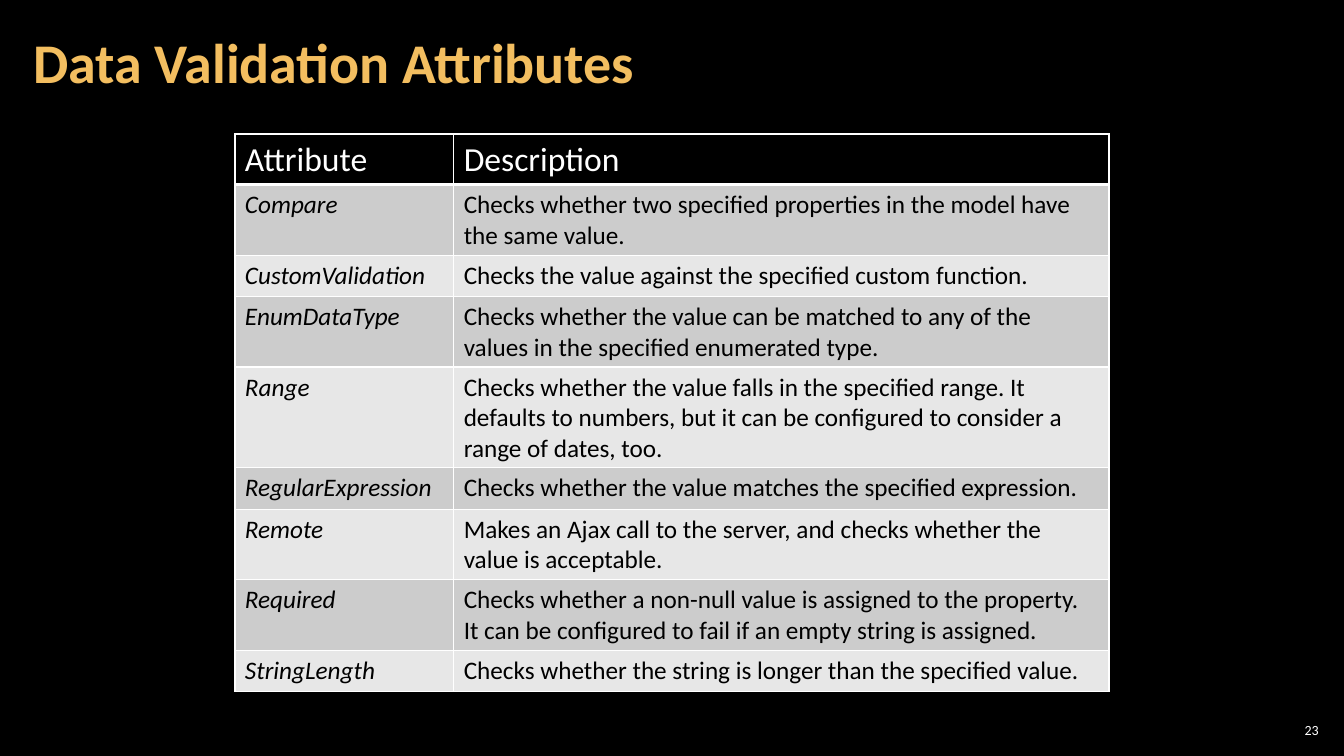
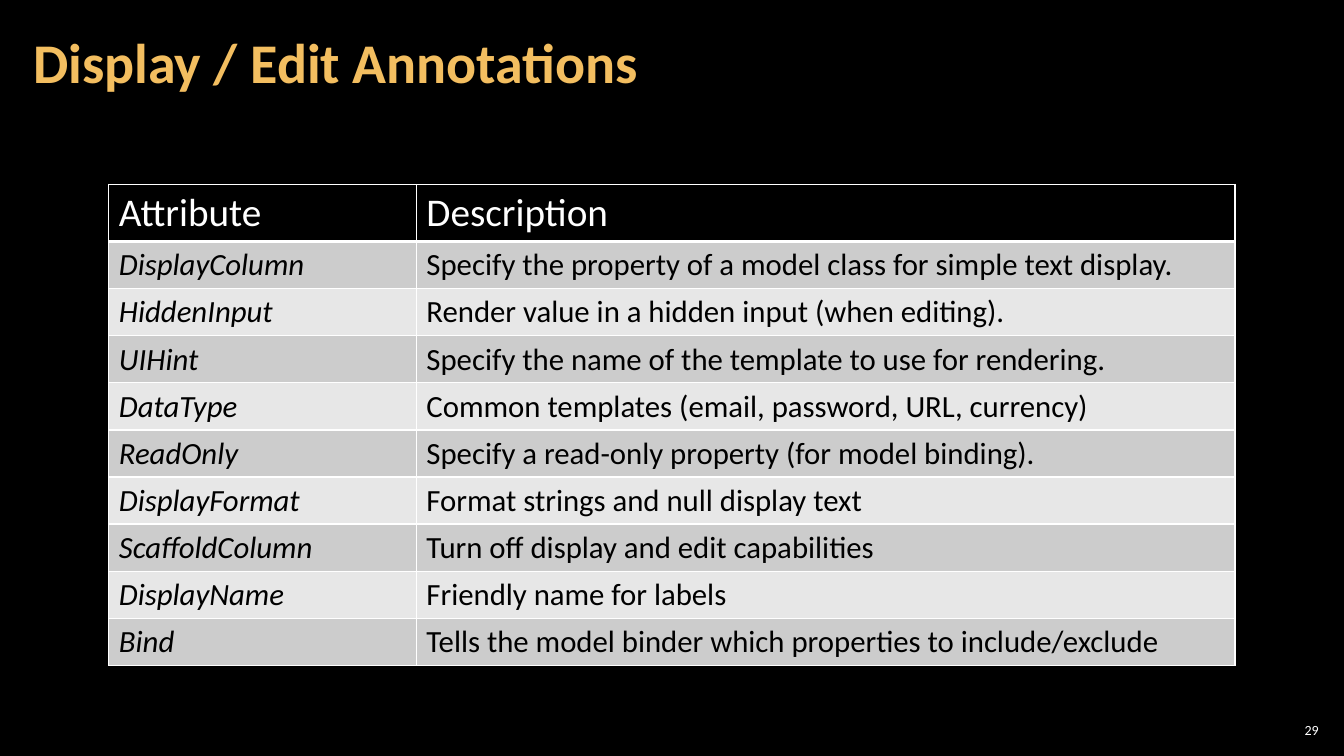
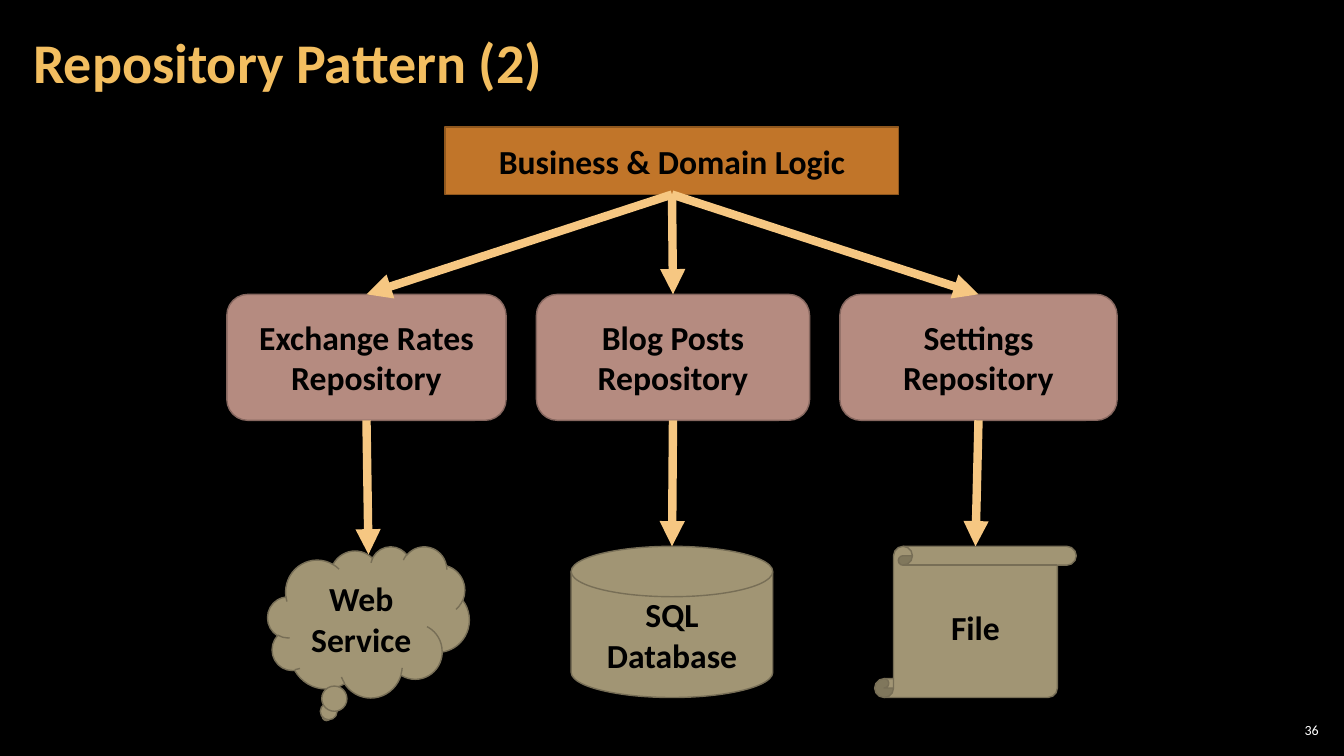
from itertools import accumulate
from lxml.etree import SubElement
from pptx import Presentation
from pptx.dml.color import RGBColor
from pptx.enum.shapes import MSO_CONNECTOR, MSO_SHAPE
from pptx.enum.text import MSO_ANCHOR, PP_ALIGN
from pptx.oxml.ns import qn
from pptx.util import Emu, Inches, Pt

SLIDE_WIDTH, SLIDE_HEIGHT = 13.33, 7.5
FONT = "Calibri"
BLACK, WHITE = "000000", "FFFFFF"
TITLE_COLOR, ARROW_COLOR = "F3BE60", "F6C782"
BAND_COLORS = ("CCCCCC", "E7E7E7")
LOGIC_COLORS = ("C17529", "8F571E")
REPOSITORY_COLORS = ("B58B80", "86675F")
STORE_COLORS = ("A19574", "776E56")
TITLE_BOX = (0.21, 0.04, 10.47, 1.21)
NUMBER_BOX = (12.65, 7.14, 0.47, 0.21)
ROW_HEIGHT = 0.41

HEADINGS = ("Attribute", "Description")
TABLE_SLIDES = [
    {
        "title": "Data Validation Attributes", "number": "23",
        "top": 1.33, "columns": (2.17, 6.5), "heading_size": 24, "size": 18,
        "rows": [
            ("Compare", "Checks whether two specified properties in the model have the same value."),
            ("CustomValidation", "Checks the value against the specified custom function."),
            ("EnumDataType", "Checks whether the value can be matched to any of the values in the specified enumerated type."),
            ("Range", "Checks whether the value falls in the specified range. It defaults to numbers, but it can be configured to consider a range of dates, too."),
            ("RegularExpression", "Checks whether the value matches the specified expression."),
            ("Remote", "Makes an Ajax call to the server, and checks whether the value is acceptable."),
            ("Required", "Checks whether a non-null value is assigned to the property. It can be configured to fail if an empty string is assigned."),
            ("StringLength", "Checks whether the string is longer than the specified value."),
        ],
    },
    {
        "title": "Display / Edit Annotations", "number": "29",
        "top": 1.83, "columns": (3.05, 8.12), "heading_size": 28, "size": 22,
        "rows": [
            ("DisplayColumn", "Specify the property of a model class for simple text display."),
            ("HiddenInput", "Render value in a hidden input (when editing)."),
            ("UIHint", "Specify the name of the template to use for rendering."),
            ("DataType", "Common templates (email, password, URL, currency)"),
            ("ReadOnly", "Specify a read-only property (for model binding)."),
            ("DisplayFormat", "Format strings and null display text"),
            ("ScaffoldColumn", "Turn off display and edit capabilities"),
            ("DisplayName", "Friendly name for labels"),
            ("Bind", "Tells the model binder which properties to include/exclude"),
        ],
    },
]

PATTERN_TITLE, PATTERN_NUMBER = "Repository Pattern (2)", "36"
LAYERS = [
    {"top": 1.26, "height": 0.67, "gap": 0, "colors": LOGIC_COLORS, "parts": [
        ("Business & Domain Logic", MSO_SHAPE.RECTANGLE, 4.5)]},
    {"top": 2.92, "height": 1.25, "gap": 0.3, "colors": REPOSITORY_COLORS, "parts": [
        ("Exchange Rates Repository", MSO_SHAPE.ROUNDED_RECTANGLE, 2.77),
        ("Blog Posts Repository", MSO_SHAPE.ROUNDED_RECTANGLE, 2.71),
        ("Settings Repository", MSO_SHAPE.ROUNDED_RECTANGLE, 2.75)]},
    {"top": 5.42, "height": 1.5, "gap": 1.01, "colors": STORE_COLORS, "parts": [
        ("Web Service", MSO_SHAPE.CLOUD_CALLOUT, 2),
        ("SQL Database", MSO_SHAPE.FLOWCHART_MAGNETIC_DISK, 2),
        ("File", MSO_SHAPE.VERTICAL_SCROLL, 2)]},
]
CLOUD_DIP = 0.08
TOP_SITE, BOTTOM_SITE = 0, 2


def color(value):
    return RGBColor.from_string(value)


def box(*lengths):
    return [Inches(length) for length in lengths]


def centred_lefts(widths, gap):
    start = (SLIDE_WIDTH - sum(widths) - gap * (len(widths) - 1)) / 2
    return list(accumulate((width + gap for width in widths[:-1]), initial=start))


def write(frame, text, size, text_color, bold=False, italic=False, align=PP_ALIGN.LEFT):
    paragraph = frame.paragraphs[0]
    paragraph.alignment = align
    run = paragraph.add_run()
    run.text = text
    run.font.name, run.font.size = FONT, Pt(size)
    run.font.bold, run.font.italic = bold, italic
    run.font.color.rgb = color(text_color)
    return paragraph


def add_label(slide, place, inset, *text, **style):
    frame = slide.shapes.add_textbox(*box(*place)).text_frame
    frame.word_wrap = True
    frame.vertical_anchor = MSO_ANCHOR.MIDDLE
    frame.margin_left = frame.margin_right = Inches(inset)
    frame.margin_top = frame.margin_bottom = Inches(0.04)
    return write(frame, *text, **style)


def add_titled_slide(presentation, title, number):
    slide = presentation.slides.add_slide(presentation.slide_layouts[6])
    add_label(slide, NUMBER_BOX, 0.04, number, 10, WHITE, align=PP_ALIGN.RIGHT)
    add_label(slide, TITLE_BOX, 0.12, title, 40, TITLE_COLOR, bold=True).line_spacing = 0.9
    return slide


def style_cell(cell, fill, bottom_width):
    properties = cell._tc.get_or_add_tcPr()
    for side, width in (("L", 1), ("R", 1), ("T", 1), ("B", bottom_width)):
        border = SubElement(properties, qn("a:ln" + side), w=str(Pt(width)))
        solid = SubElement(border, qn("a:solidFill"))
        SubElement(solid, qn("a:srgbClr"), val=WHITE)
    cell.fill.solid()
    cell.fill.fore_color.rgb = color(fill)


def add_attribute_table(slide, content):
    rows, columns = [HEADINGS] + content["rows"], content["columns"]
    left, width = (SLIDE_WIDTH - sum(columns)) / 2, sum(columns)
    place = box(left, content["top"], width, ROW_HEIGHT * len(rows))
    table = slide.shapes.add_table(len(rows), len(columns), *place).table
    for column, column_width in zip(table.columns, columns):
        column.width = Inches(column_width)
    for row_index, texts in enumerate(rows):
        table.rows[row_index].height = Inches(ROW_HEIGHT)
        heading = row_index == 0
        fill = BLACK if heading else BAND_COLORS[(row_index - 1) % 2]
        size = content["heading_size"] if heading else content["size"]
        for column_index, text in enumerate(texts):
            cell = table.cell(row_index, column_index)
            style_cell(cell, fill, 3 if heading else 1)
            write(cell.text_frame, text, size, WHITE if heading else BLACK,
                  italic=not heading and column_index == 0)


def add_layer(slide, layer):
    fill, line = layer["colors"]
    lefts = centred_lefts([width for _, _, width in layer["parts"]], layer["gap"])
    shapes = []
    for left, (text, kind, width) in zip(lefts, layer["parts"]):
        shape = slide.shapes.add_shape(kind, *box(left, layer["top"], width, layer["height"]))
        shape.shadow.inherit = False
        shape.fill.solid()
        shape.fill.fore_color.rgb = color(fill)
        shape.line.color.rgb = color(line)
        shape.line.width = Pt(1)
        shape.text_frame.word_wrap = True
        shape.text_frame.vertical_anchor = MSO_ANCHOR.MIDDLE
        write(shape.text_frame, text, 24, BLACK, bold=True, align=PP_ALIGN.CENTER)
        shapes.append(shape)
    return shapes


def add_arrow(slide, source, target, dip=0):
    end = Emu(target.left + target.width // 2), Emu(target.top + Inches(dip))
    arrow = slide.shapes.add_connector(MSO_CONNECTOR.STRAIGHT, 0, 0, *end)
    arrow.begin_connect(source, BOTTOM_SITE)
    arrow.line.color.rgb = color(ARROW_COLOR)
    arrow.line.width = Pt(6)
    SubElement(arrow.line._get_or_add_ln(), qn("a:tailEnd"), type="triangle")
    SubElement(arrow._element.spPr, qn("a:effectLst"))
    return arrow


def add_pattern_diagram(slide):
    (logic,), repositories, stores = [add_layer(slide, layer) for layer in LAYERS]
    for repository in repositories:
        add_arrow(slide, logic, repository).end_connect(repository, TOP_SITE)
    for repository, store in zip(repositories, stores):
        is_cloud = store.auto_shape_type == MSO_SHAPE.CLOUD_CALLOUT
        add_arrow(slide, repository, store, CLOUD_DIP if is_cloud else 0)


def main():
    presentation = Presentation()
    presentation.slide_width, presentation.slide_height = box(SLIDE_WIDTH, SLIDE_HEIGHT)
    background = presentation.slide_master.background.fill
    background.solid()
    background.fore_color.rgb = color(BLACK)
    for content in TABLE_SLIDES:
        slide = add_titled_slide(presentation, content["title"], content["number"])
        add_attribute_table(slide, content)
    add_pattern_diagram(add_titled_slide(presentation, PATTERN_TITLE, PATTERN_NUMBER))
    presentation.save("out.pptx")


if __name__ == "__main__":
    main()
